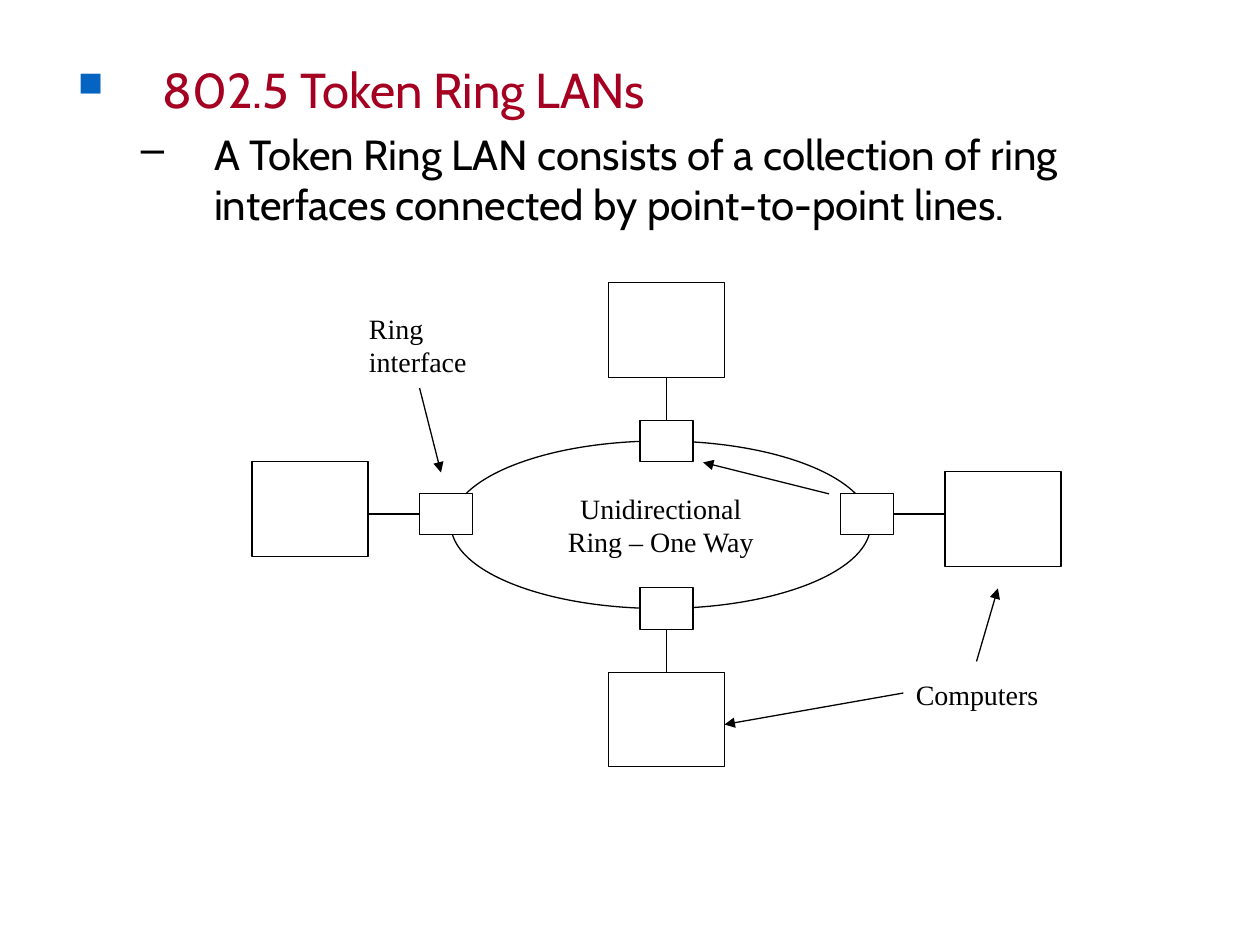
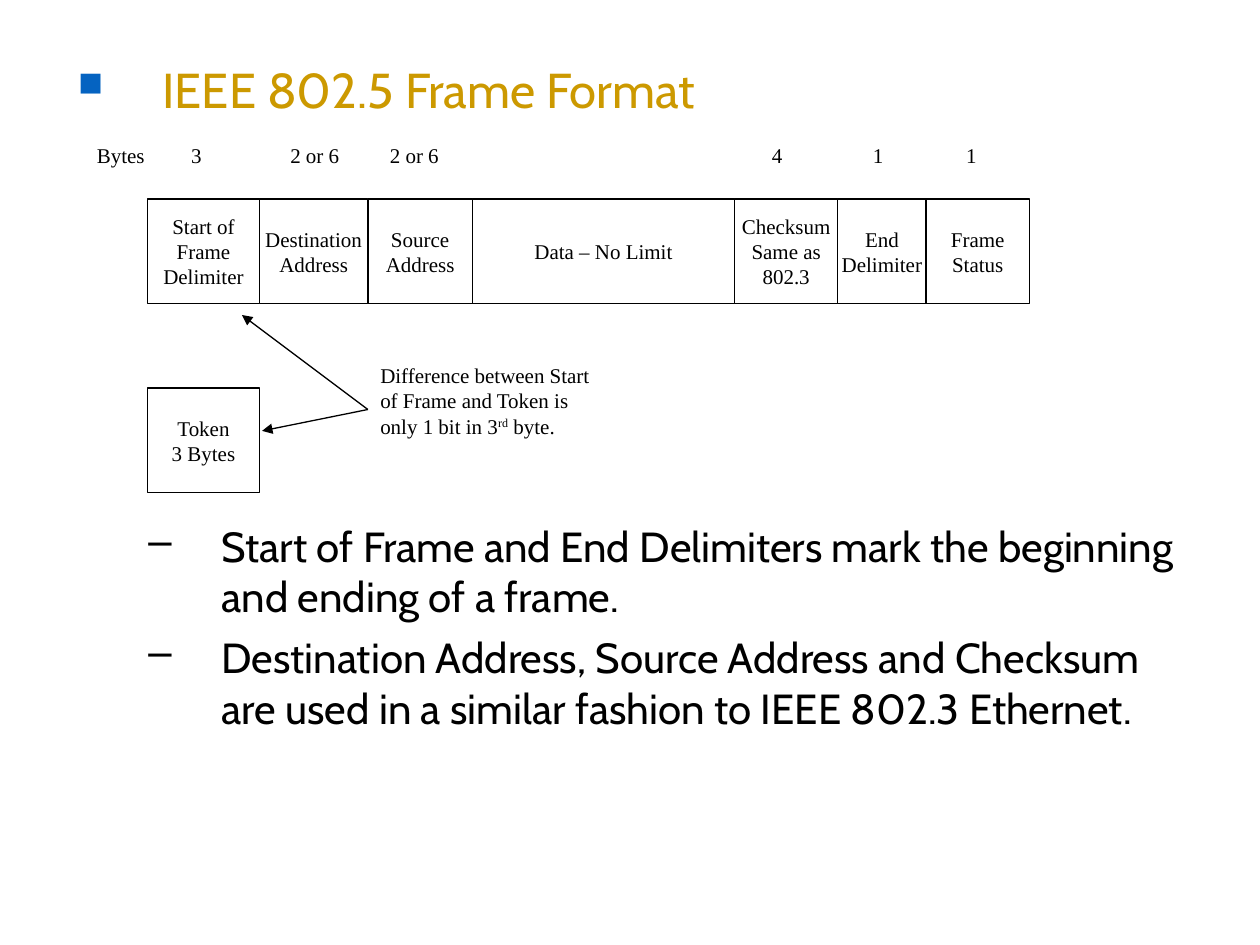
from itertools import accumulate

from lxml.etree import SubElement
from pptx import Presentation
from pptx.dml.color import RGBColor
from pptx.enum.shapes import MSO_CONNECTOR, MSO_SHAPE
from pptx.enum.text import MSO_ANCHOR, PP_ALIGN
from pptx.oxml.ns import qn
from pptx.util import Inches, Pt

BLACK = RGBColor(0x00, 0x00, 0x00)
WHITE = RGBColor(0xFF, 0xFF, 0xFF)
BLUE = RGBColor(0x05, 0x63, 0xC1)
CRIMSON = RGBColor(0xA5, 0x00, 0x21)
GOLD = RGBColor(0xCC, 0x99, 0x00)
HEADING_FONT = "Cabin"
LABEL_FONT = "Times New Roman"

RING_HEADING = "802.5 Token Ring LANs"
RING_POINTS = [
    "A Token Ring LAN consists of a collection of ring interfaces connected by point-to-point lines.",
]
RING = (3.58, 3.5, 3.33, 1.33)
RING_TEXT = "Unidirectional\nRing – One Way"
INTERFACE_SIZE = (0.42, 0.33)
COMPUTER_SIZE = (0.92, 0.75)
# direction outward, interface centre, computer centre
STATIONS = [
    ((0, 1), (5.29, 4.83), (5.29, 5.71)),
    ((1, 0), (6.88, 4.08), (7.96, 4.12)),
    ((0, -1), (5.29, 3.5), (5.29, 2.62)),
    ((-1, 0), (3.54, 4.08), (2.46, 4.04)),
]
RING_LABELS = [
    ("Ring interface", (2.83, 2.42, 1.08, 0.64)),
    ("Computers", (7.17, 5.33, 1.33, 0.37)),
]
RING_ARROWS = [
    ((3.33, 3.08), (3.5, 3.75)),
    ((7.17, 5.5), (5.75, 5.75)),
    ((7.75, 5.25), (7.92, 4.67)),
    ((6.58, 3.92), (5.58, 3.67)),
]

FRAME_HEADING = "IEEE 802.5 Frame Format"
FRAME_POINTS = [
    "Start of Frame and End Delimiters mark the beginning and ending of a frame.",
    "Destination Address, Source Address and Checksum are used in a similar fashion to IEEE 802.3 Ethernet.",
]
FRAME_LEFT, FRAME_TOP, FIELD_HEIGHT = 1.17, 1.58, 0.83
FIELDS = [
    ("Start of\nFrame\nDelimiter", 0.89),
    ("Destination\nAddress", 0.86),
    ("Source\nAddress", 0.83),
    ("Data – No Limit", 2.08),
    ("Checksum\nSame as\n802.3", 0.82),
    ("End\nDelimiter", 0.7),
    ("Frame\nStatus", 0.82),
]
BYTE_COUNTS = [
    ("3", 0.79), ("2 or 6", 1.73), ("2 or 6", 2.52),
    ("4", 5.4), ("1", 6.2), ("1", 6.94),
]
TOKEN = ("Token\n3 Bytes", (FRAME_LEFT, 3.08, 0.89, FIELD_HEIGHT))
DIFFERENCE = [
    ("Difference between Start of Frame and Token is only 1 bit in 3", 0),
    ("rd", 30000),
    (" byte.", 0),
]
DIFFERENCE_ARROWS = [((2.92, 3.25), (2.08, 3.42)), ((2.92, 3.25), (1.92, 2.5))]


def inches(lengths):
    return [Inches(length) for length in lengths]


def set_font(paragraph, name, size, color=BLACK):
    paragraph.font.name = name
    paragraph.font.size = Pt(size)
    paragraph.font.color.rgb = color


def add_text(slide, box):
    frame = slide.shapes.add_textbox(*inches(box)).text_frame
    frame.word_wrap = True
    return frame


def set_bullet(paragraph, char, color, indent, hanging, percent=100):
    properties = paragraph._p.get_or_add_pPr()
    properties.set("marL", str(Inches(indent)))
    properties.set("indent", str(-Inches(hanging)))
    bullet_color = SubElement(properties, qn("a:buClr"))
    SubElement(bullet_color, qn("a:srgbClr"), val=str(color))
    SubElement(properties, qn("a:buSzPct"), val=str(percent * 1000))
    SubElement(properties, qn("a:buChar"), char=char)


def write_heading(frame, text, color):
    heading = frame.paragraphs[0]
    heading.text = text
    heading.space_before = Pt(7)
    set_bullet(heading, "■", BLUE, 0.67, 0.67, 70)
    set_font(heading, HEADING_FONT, 28, color)


def write_point(paragraph, text):
    paragraph.text = text
    paragraph.level = 1
    paragraph.space_before = Pt(6)
    set_bullet(paragraph, "–", BLACK, 1.08, 0.58)
    set_font(paragraph, HEADING_FONT, 24)


def add_label(slide, box, text, size, space):
    paragraph = add_text(slide, box).paragraphs[0]
    paragraph.text = text
    paragraph.space_before = Pt(space)
    set_font(paragraph, LABEL_FONT, size)
    return paragraph


def add_outlined(slide, box, text="", size=12, kind=MSO_SHAPE.RECTANGLE):
    shape = slide.shapes.add_shape(kind, *inches(box))
    shape.shadow.inherit = False
    shape.fill.solid()
    shape.fill.fore_color.rgb = WHITE
    shape.line.color.rgb = BLACK
    shape.line.width = Pt(0.75)
    if text:
        frame = shape.text_frame
        frame.text = text
        frame.word_wrap = False
        frame.vertical_anchor = MSO_ANCHOR.MIDDLE
        for paragraph in frame.paragraphs:
            paragraph.alignment = PP_ALIGN.CENTER
            set_font(paragraph, LABEL_FONT, size)


def add_centred(slide, centre, size):
    corner = [middle - length / 2 for middle, length in zip(centre, size)]
    add_outlined(slide, (*corner, *size))


def add_line(slide, start, end, arrow=False):
    line = slide.shapes.add_connector(MSO_CONNECTOR.STRAIGHT, *inches((*start, *end)))
    line.line.color.rgb = BLACK
    line.line.width = Pt(0.75)
    if arrow:
        SubElement(line.line._get_or_add_ln(), qn("a:tailEnd"), type="triangle")
    SubElement(line._element.spPr, qn("a:effectLst"))


def add_link(slide, direction, interface, computer):
    start, end = list(interface), list(interface)
    axis = 0 if direction[0] else 1
    start[axis] += direction[axis] * INTERFACE_SIZE[axis] / 2
    end[axis] = computer[axis] - direction[axis] * COMPUTER_SIZE[axis] / 2
    add_line(slide, start, end)


def build_ring(slide):
    frame = add_text(slide, (0.52, 0.42, 8.98, 1.67))
    write_heading(frame, RING_HEADING, CRIMSON)
    for point in RING_POINTS:
        write_point(frame.add_paragraph(), point)
    add_outlined(slide, RING, RING_TEXT, 16, MSO_SHAPE.OVAL)
    for direction, interface, computer in STATIONS:
        add_centred(slide, interface, INTERFACE_SIZE)
        add_centred(slide, computer, COMPUTER_SIZE)
        add_link(slide, direction, interface, computer)
    for text, box in RING_LABELS:
        add_label(slide, box, text, 16, 10)
    for start, end in RING_ARROWS:
        add_line(slide, start, end, arrow=True)


def build_frame_format(slide):
    write_heading(add_text(slide, (0.52, 0.42, 8.98, 0.58)), FRAME_HEADING, GOLD)
    points = add_text(slide, (0.58, 4.08, 8.98, 2.58))
    for number, point in enumerate(FRAME_POINTS):
        write_point(points.add_paragraph() if number else points.paragraphs[0], point)

    lefts = accumulate((width for _, width in FIELDS), initial=FRAME_LEFT)
    for (text, width), left in zip(FIELDS, lefts):
        add_outlined(slide, (left, FRAME_TOP, width, FIELD_HEIGHT), text)
    add_outlined(slide, TOKEN[1], TOKEN[0])

    counts = "\t".join(["Bytes"] + [count for count, _ in BYTE_COUNTS])
    byte_row = add_label(slide, (0.67, 1.08, 8.75, 0.3), counts, 12, 7.5)
    tabs = byte_row._p.pPr.makeelement(qn("a:tabLst"))
    for _, centre in BYTE_COUNTS:
        SubElement(tabs, qn("a:tab"), pos=str(Inches(centre)), algn="ctr")
    byte_row._p.pPr.find(qn("a:defRPr")).addprevious(tabs)

    difference = add_label(slide, (2.92, 2.83, 2, 0.7), "", 12, 7.5)
    for text, baseline in DIFFERENCE:
        run = difference.add_run()
        run.text = text
        if baseline:
            run._r.get_or_add_rPr().set("baseline", str(baseline))
    for start, end in DIFFERENCE_ARROWS:
        add_line(slide, start, end, arrow=True)


def main():
    deck = Presentation()
    deck.slide_width, deck.slide_height = Inches(10), Inches(7.5)
    for build in (build_ring, build_frame_format):
        build(deck.slides.add_slide(deck.slide_layouts[6]))
    deck.save("out.pptx")


if __name__ == "__main__":
    main()
